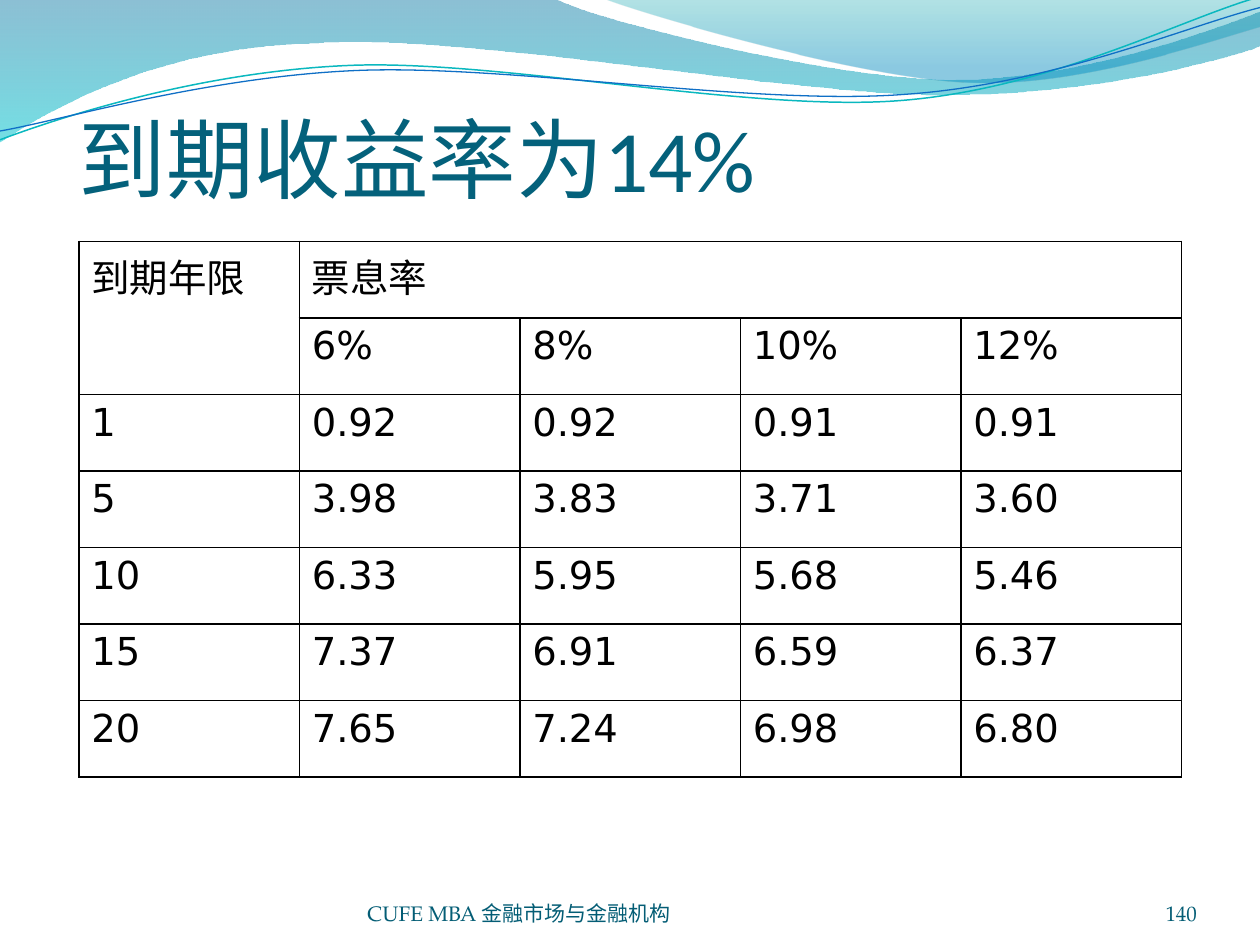
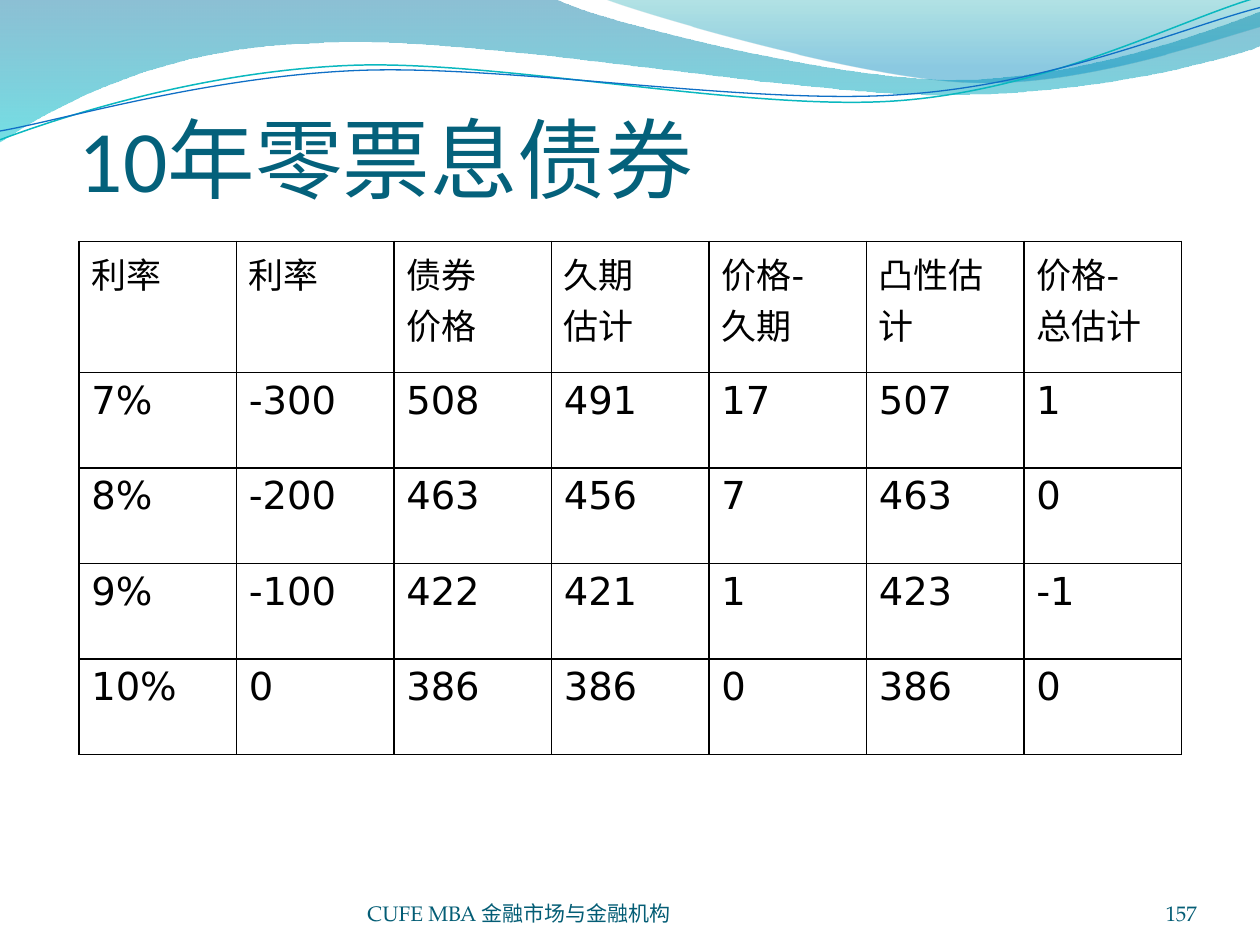
from pptx import Presentation
from pptx.dml.color import RGBColor
from pptx.enum.text import MSO_ANCHOR, MSO_AUTO_SIZE, PP_ALIGN
from pptx.oxml import parse_xml
from pptx.oxml.ns import nsdecls, qn
from pptx.util import Inches, Pt

COLORS = {
    "title": "04617B", "footer": "045D75", "text": "000000", "border": "000000",
    "band_top": "0074A1", "band_bottom": "00C6CF",
    "crest_top": "00A1A9", "crest_bottom": "008BBF",
    "teal_line": "0AB8BF", "blue_line": "0F6FC6",
}
TITLE_FONT = {"name": "Calibri", "size": Pt(50), "bold": False}
TABLE_FONT = {"name": "DejaVu Sans", "size": Pt(22), "bold": False}
HEADER_FONT = {**TABLE_FONT, "size": Pt(20)}
FOOTER_FONT = {"name": "TeX Gyre Pagella", "size": Pt(12)}

# Boxes: left, top, width, height on a grid of 24 steps to the inch
TITLE_BOX = (15 / 24, 8 / 24, 8.75, 32 / 24)
TABLE_LEFT, TABLE_TOP, TABLE_WIDTH = 15 / 24, 46 / 24, 8.75
FOOTER_BOX = (70 / 24, 6.95, 88 / 24, 0.4)
NUMBER_BOX = (208 / 24, 6.95, 20 / 24, 0.4)
FOOTER = "CUFE MBA 金融市场与金融机构"

# Waves: a pair is a straight step, six numbers are a Bezier step
BAND = [(0, 0), (4.4, -0.01), (4.76, 0.17, 6.64, 0.63, 7.58, 0.63),
        (8.53, 0.63, 9.58, 0.26, 10, 0.09), (10.01, 0.36),
        (9.83, 0.44, 8.7, 0.76, 7.46, 0.75), (6.22, 0.75, 3.82, 0.28, 2.57, 0.34),
        (1.29, 0.36, 0.46, 0.83, -0.01, 1.13), (0, 0)]
CREST = [(4.79, -0.01), (5.09, 0.11, 6.82, 0.62, 7.69, 0.65),
         (8.56, 0.69, 9.61, 0.32, 10, 0.21), (10, 0), (4.79, -0.01)]
TEAL_LINE = [(0, 1.11), (0.48, 0.93, 1.58, 0.57, 2.77, 0.52),
             (3.95, 0.47, 5.93, 0.89, 7.13, 0.8), (8.33, 0.71, 9.38, 0.15, 9.98, -0.02)]
BLUE_LINE = [(0, 1.04), (0.47, 0.96, 1.64, 0.61, 2.83, 0.56),
             (4.03, 0.51, 5.97, 0.84, 7.17, 0.75), (8.36, 0.67, 9.41, 0.21, 10, 0.06)]

YIELD_ROWS = [
    ["到期年限", "票息率", "", "", ""],
    ["", "6%", "8%", "10%", "12%"],
    ["1", "0.92", "0.92", "0.91", "0.91"],
    ["5", "3.98", "3.83", "3.71", "3.60"],
    ["10", "6.33", "5.95", "5.68", "5.46"],
    ["15", "7.37", "6.91", "6.59", "6.37"],
    ["20", "7.65", "7.24", "6.98", "6.80"],
]
BOND_ROWS = [
    ["利率", "利率", "债券\n价格", "久期\n估计", "价格-\n久期", "凸性估计", "价格-\n总估计"],
    ["7%", "-300", "508", "491", "17", "507", "1"],
    ["8%", "-200", "463", "456", "7", "463", "0"],
    ["9%", "-100", "422", "421", "1", "423", "-1"],
    ["10%", "0", "386", "386", "0", "386", "0"],
]


def rgb(key):
    return RGBColor.from_string(COLORS[key])


def set_font(p, style, color):
    for r in p.runs:
        for name, value in style.items():
            setattr(r.font, name, value)
        r.font.color.rgb = rgb(color)


def set_frame(tf, **values):
    for name, value in values.items():
        setattr(tf, name, value)


# Waves
def add_wave(s, steps, closed):
    """Draws straight steps between the anchors, then bends the Bezier ones."""
    anchors = [(Inches(step[-2]), Inches(step[-1])) for step in steps]
    builder = s.shapes.build_freeform(*anchors[0])
    builder.add_line_segments(anchors[1:], close=closed)
    sp = builder.convert_to_shape()
    for step, line in zip(steps[1:], list(sp.element.iter(qn("a:lnTo")))):
        if len(step) == 6:
            pts = "".join(f'<a:pt x="{Inches(x) - sp.left}" y="{Inches(y) - sp.top}"/>'
                          for x, y in zip(step[::2], step[1::2]))
            curve = parse_xml(f'<a:cubicBezTo {nsdecls("a")}>{pts}</a:cubicBezTo>')
            line.getparent().replace(line, curve)
    sp.shadow.inherit = False
    sp.fill.background()
    sp.line.fill.background()
    return sp


def add_gradient_wave(s, steps, stops):
    sp = add_wave(s, steps, True)
    gs = "".join(
        f'<a:gs pos="{pos * 1000}"><a:srgbClr val="{COLORS[key]}">'
        f'<a:alpha val="{alpha * 1000}"/></a:srgbClr></a:gs>' for pos, key, alpha in stops)
    grad = parse_xml(f'<a:gradFill {nsdecls("a")} rotWithShape="1"><a:gsLst>{gs}</a:gsLst>'
                     '<a:lin ang="5400000" scaled="0"/></a:gradFill>')
    props = sp.element.spPr
    props.replace(props.find(qn("a:noFill")), grad)
    return sp


def add_line_wave(s, steps, color, width):
    sp = add_wave(s, steps, False)
    sp.line.color.rgb = rgb(color)
    sp.line.width = Pt(width)
    return sp


def add_master_waves(prs, s):
    """Builds the waves on a slide and moves them behind everything on the master."""
    waves = [
        add_gradient_wave(s, BAND, [(0, "band_top", 45), (100, "band_bottom", 55)]),
        add_gradient_wave(s, CREST, [(0, "crest_top", 30), (80, "crest_bottom", 45)]),
        add_line_wave(s, TEAL_LINE, "teal_line", 0.85),
        add_line_wave(s, BLUE_LINE, "blue_line", 0.75),
    ]
    tree = prs.slide_master.shapes.element
    for i, sp in enumerate(waves):
        sp.element.find(".//" + qn("p:cNvPr")).set("id", str(100 + i))
        tree.insert(2 + i, sp.element)


# Title and footer
def add_title(s, text, box):
    sp = s.shapes.title
    sp.left, sp.top, sp.width, sp.height = map(Inches, box)
    tf = sp.text_frame
    tf.text = text
    set_frame(tf, margin_left=0, margin_right=0, margin_top=Inches(0.05), margin_bottom=0,
              vertical_anchor=MSO_ANCHOR.BOTTOM, auto_size=MSO_AUTO_SIZE.NONE)
    tf.paragraphs[0].alignment = PP_ALIGN.LEFT
    set_font(tf.paragraphs[0], TITLE_FONT, "title")


def add_footer(s, text, box, align):
    tf = s.shapes.add_textbox(*map(Inches, box)).text_frame
    tf.text = text
    set_frame(tf, margin_left=0, margin_right=0, margin_top=0, margin_bottom=0,
              vertical_anchor=MSO_ANCHOR.BOTTOM, word_wrap=True)
    tf.paragraphs[0].alignment = align
    set_font(tf.paragraphs[0], FOOTER_FONT, "footer")


# Table
def set_borders(cell):
    props = cell._tc.get_or_add_tcPr()
    for i, side in enumerate("LRTB"):
        props.insert(i, parse_xml(
            f'<a:ln{side} {nsdecls("a")} w="12700"><a:solidFill>'
            f'<a:srgbClr val="{COLORS["border"]}"/></a:solidFill></a:ln{side}>'))


def add_grid(s, rows, heights, merges=(), header_font=TABLE_FONT):
    n_cols = len(rows[0])
    table = s.shapes.add_table(
        len(rows), n_cols, Inches(TABLE_LEFT), Inches(TABLE_TOP),
        Inches(TABLE_WIDTH), Inches(sum(heights))).table
    table.first_row = table.horz_banding = False
    for col in table.columns:
        col.width = Inches(TABLE_WIDTH / n_cols)
    for i, (row, height) in enumerate(zip(rows, heights)):
        table.rows[i].height = Inches(height)
        for j, text in enumerate(row):
            cell = table.cell(i, j)
            cell.text = text
            cell.fill.background()
            set_borders(cell)
            for p in cell.text_frame.paragraphs:
                set_font(p, TABLE_FONT if i else header_font, "text")
    for first, last in merges:
        table.cell(*first).merge(table.cell(*last))


def add_table_slide(prs, title, number, rows, heights, **options):
    s = prs.slides.add_slide(prs.slide_layouts[5])
    add_title(s, title, TITLE_BOX)
    add_grid(s, rows, heights, **options)
    add_footer(s, FOOTER, FOOTER_BOX, PP_ALIGN.LEFT)
    add_footer(s, number, NUMBER_BOX, PP_ALIGN.RIGHT)
    return s


def main():
    prs = Presentation()
    prs.slide_width, prs.slide_height = Inches(10), Inches(7.5)

    s = add_table_slide(prs, "到期收益率为14%", "140", YIELD_ROWS, [4.25 / 7] * 7,
                        merges=[((0, 0), (1, 0)), ((0, 1), (0, 4))])
    add_master_waves(prs, s)
    add_table_slide(prs, "10年零票息债券", "157", BOND_ROWS, [1.04] + [3.03 / 4] * 4,
                    header_font=HEADER_FONT)

    prs.save("out.pptx")


if __name__ == "__main__":
    main()
